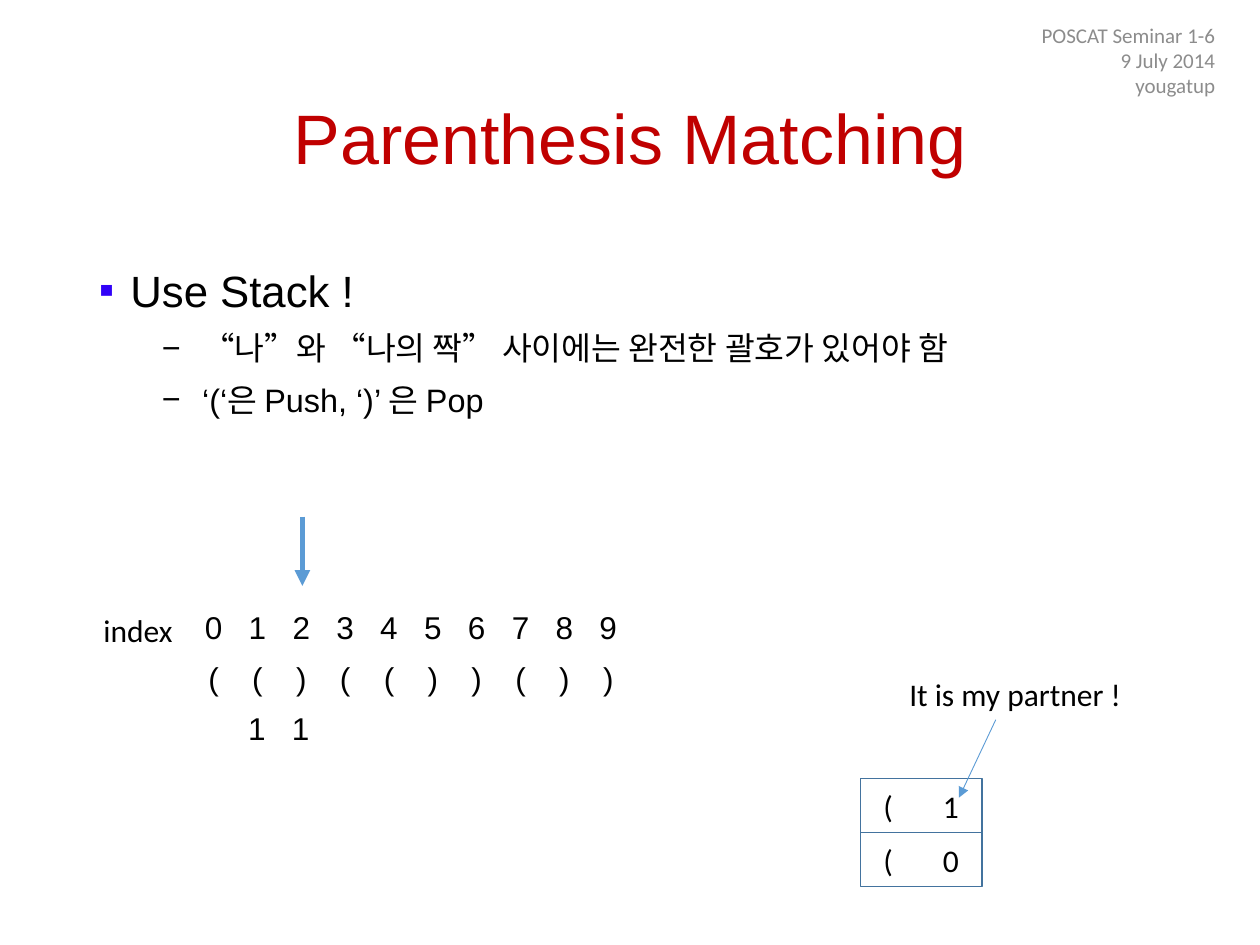
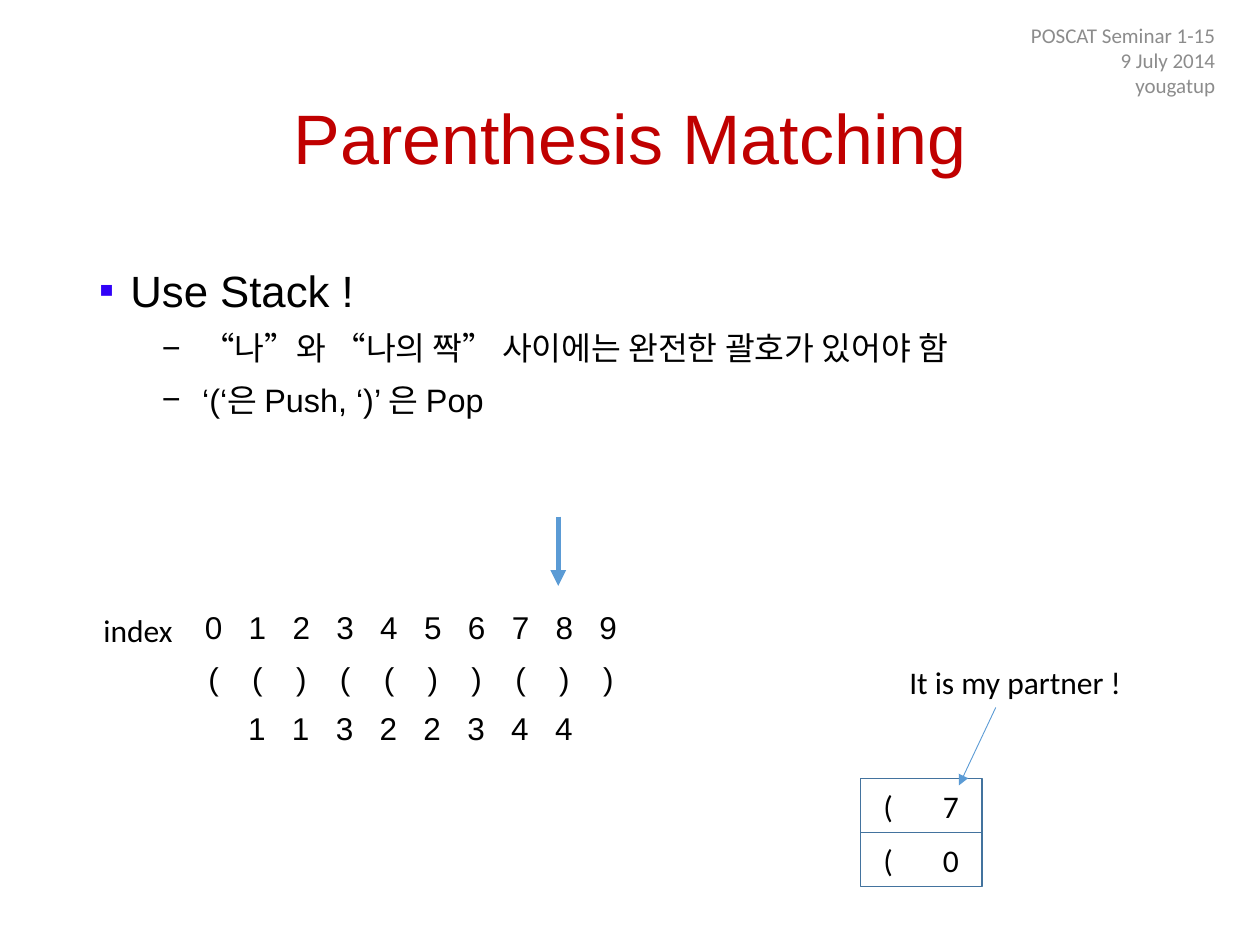
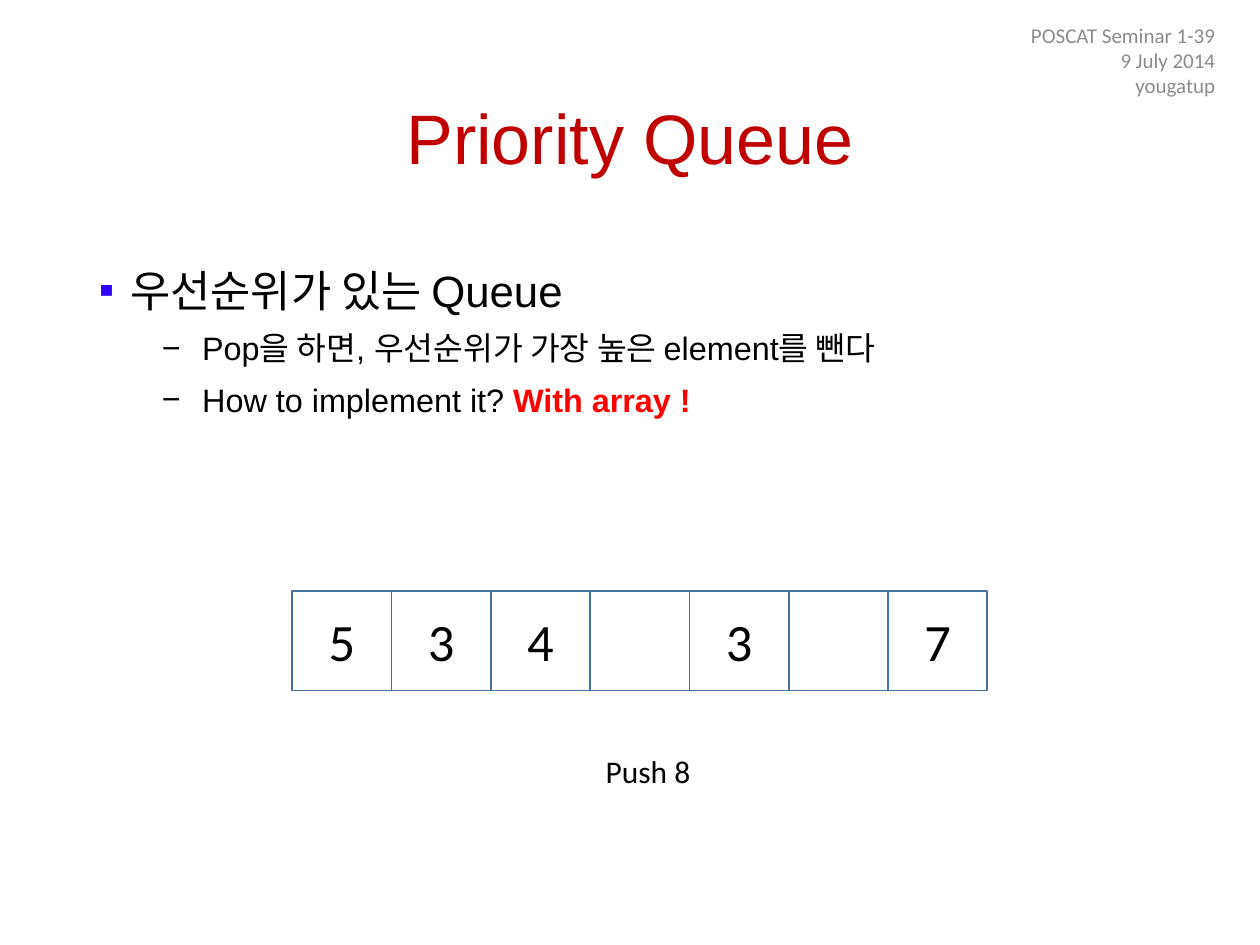
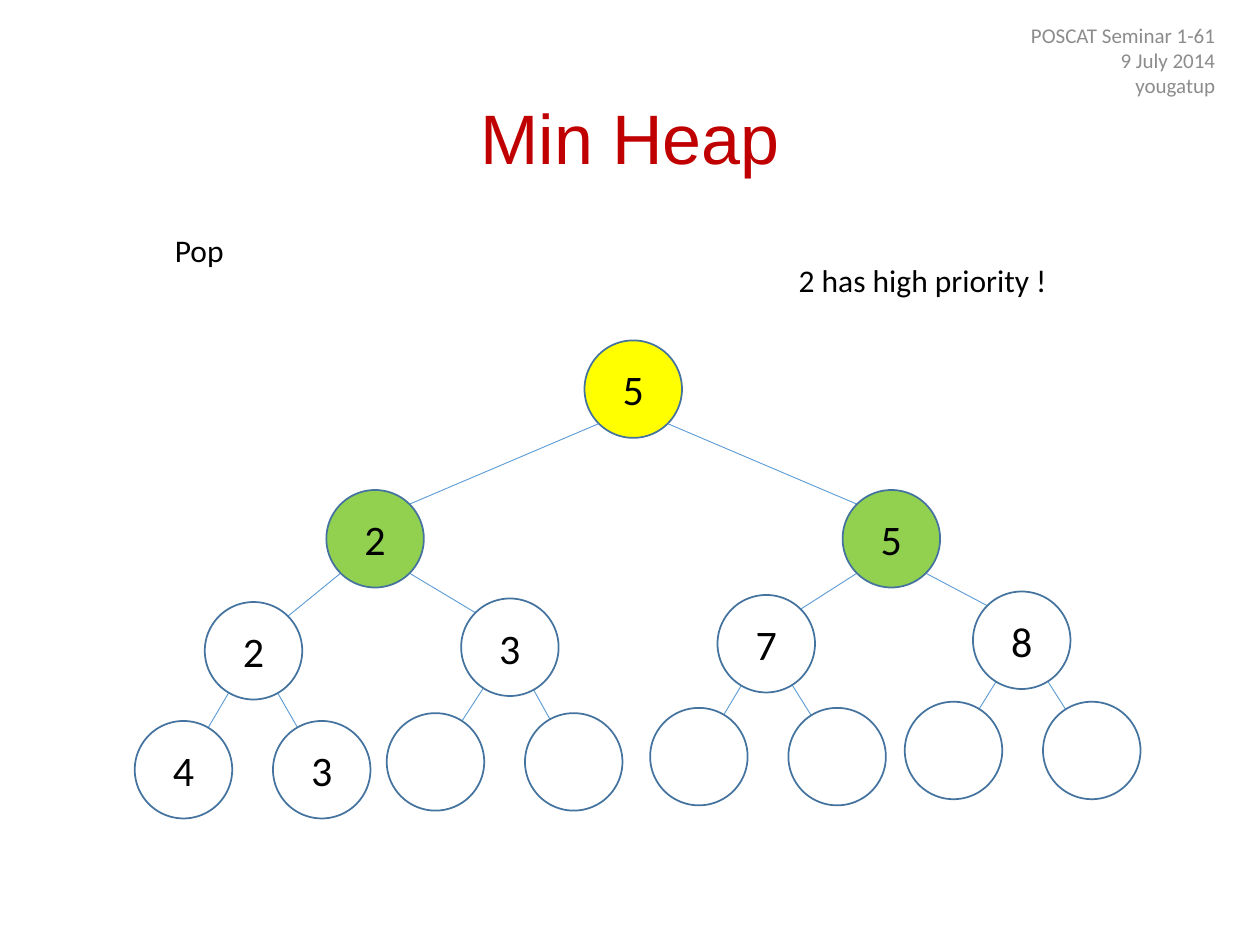
from lxml import etree
from pptx import Presentation
from pptx.dml.color import RGBColor
from pptx.enum import shapes, text
from pptx.oxml import ns
from pptx.util import Pt

# Shared look
RED = RGBColor(0xC0, 0x00, 0x00)
BRIGHT_RED = RGBColor(0xFF, 0x00, 0x00)
BLACK = RGBColor(0x00, 0x00, 0x00)
WHITE = RGBColor(0xFF, 0xFF, 0xFF)
GREY = RGBColor(0x8C, 0x8C, 0x8C)
BLUE = RGBColor(0x5B, 0x9B, 0xD5)
OUTLINE = RGBColor(0x43, 0x73, 0x9E)
GREEN = RGBColor(0x92, 0xD0, 0x50)
YELLOW = RGBColor(0xFF, 0xFF, 0x00)
BULLET = RGBColor(0x31, 0x02, 0xF8)
HEAD_FONT, TEXT_FONT = "Arial", "Calibri"
LEFT, CENTER, RIGHT = (text.PP_ALIGN.LEFT, text.PP_ALIGN.CENTER,
                       text.PP_ALIGN.RIGHT)

# Bullet levels: symbol, bullet colour, size, left margin, hanging, space before
LEVELS = [("▪", BULLET, 25, 18, 18, 10), ("−", BLACK, 18.5, 59, 23, 5)]

# Content: a bullet is (level, plain text, highlighted text)
STACK_BULLETS = [
    (0, "Use Stack !", ""),
    (1, "“나”와 “나의 짝” 사이에는 완전한 괄호가 있어야 함", ""),
    (1, "‘(‘은 Push, ‘)’ 은 Pop", ""),
]
QUEUE_BULLETS = [
    (0, "우선순위가 있는 Queue", ""),
    (1, "Pop을 하면, 우선순위가 가장 높은 element를 뺀다", ""),
    (1, "How to implement it? ", "With array !"),
]
PARENTHESES = "(()(())())"
MATCHING_STEPS = [
    {"page": 6, "partners": " 11", "stack": "01", "pointer": 172.8, "note": 382.3},
    {"page": 15, "partners": " 11322344", "stack": "07", "pointer": 319,
     "note": 375.3},
]
QUEUE = ["5", "3", "4", "", "3", "", "7"]

# Heap in array order: label, left, top
HEAP = [
    ("5", 334, 194.5),
    ("2", 186.5, 280), ("5", 481.5, 280),
    ("2", 117, 344), ("3", 263.5, 342), ("7", 410, 340), ("8", 556, 338),
    ("4", 77, 412), ("3", 156, 412), ("", 221, 407.5), ("", 300, 407.5),
    ("", 371.5, 404.5), ("", 450.5, 404.5), ("", 517, 401), ("", 596, 401),
]
HEAP_FILLS = {0: YELLOW, 1: GREEN, 2: GREEN}
NODE = 55.7
FIRST_LEAF = 7


def add_run(p, words, size, color=BLACK, font=TEXT_FONT, bold=None):
    r = p.add_run()
    r.text = words
    f = r.font
    f.size, f.name, f.bold = Pt(size), font, bold
    f.color.rgb = color


def add_label(s, words, left, top, width):
    tf = s.shapes.add_textbox(Pt(left), Pt(top), Pt(width), Pt(29)).text_frame
    tf.word_wrap = False
    tf.auto_size = text.MSO_AUTO_SIZE.SHAPE_TO_FIT_TEXT
    add_run(tf.paragraphs[0], words, 18)


def add_box(s, kind, left, top, width, height, fill=None):
    sp = s.shapes.add_shape(kind, Pt(left), Pt(top), Pt(width), Pt(height))
    sp.shadow.inherit = False
    if fill is None:
        sp.fill.background()
    else:
        sp.fill.solid()
        sp.fill.fore_color.rgb = fill
    sp.line.color.rgb = OUTLINE
    sp.line.width = Pt(1)
    tf = sp.text_frame
    tf.vertical_anchor = text.MSO_ANCHOR.MIDDLE
    tf.paragraphs[0].alignment = CENTER
    return tf


def add_line(s, start, end, width=0.5, arrow=False):
    c = s.shapes.add_connector(shapes.MSO_CONNECTOR.STRAIGHT,
                               *[Pt(v) for v in (*start, *end)])
    c.line.color.rgb = BLUE
    c.line.width = Pt(width)
    if arrow:
        etree.SubElement(c.line._get_or_add_ln(), ns.qn("a:tailEnd"), type="triangle")
    etree.SubElement(c._element.spPr, ns.qn("a:effectLst"))


def add_slide(prs, title, page):
    s = prs.slides.add_slide(prs.slide_layouts[5])
    # Title
    sp = s.shapes.title
    sp.left, sp.top, sp.width, sp.height = Pt(49.5), Pt(29), Pt(621), Pt(104.4)
    tf = sp.text_frame
    tf.auto_size = text.MSO_AUTO_SIZE.NONE
    tf.vertical_anchor = text.MSO_ANCHOR.MIDDLE
    p = tf.paragraphs[0]
    p.alignment, p.line_spacing = CENTER, 0.9
    add_run(p, title, 40, RED, HEAD_FONT)
    # Seminar header
    tf = s.shapes.add_textbox(Pt(539.5), Pt(14.5), Pt(162), Pt(39.6)).text_frame
    tf.word_wrap = True
    tf.vertical_anchor = text.MSO_ANCHOR.MIDDLE
    for i, words in enumerate([f"POSCAT Seminar 1-{page}", "9 July 2014", "yougatup"]):
        p = tf.add_paragraph() if i else tf.paragraphs[0]
        p.alignment = RIGHT
        add_run(p, words, 12, GREY)
    return s


def add_bullets(s, bullets):
    tf = s.shapes.add_textbox(Pt(49.5), Pt(144), Pt(621), Pt(342.7)).text_frame
    tf.word_wrap = True
    for i, (level, words, highlight) in enumerate(bullets):
        symbol, color, size, margin, hanging, before = LEVELS[level]
        p = tf.add_paragraph() if i else tf.paragraphs[0]
        p.level, p.line_spacing = level, 1.1
        p.space_before = Pt(before if i else 0)
        pPr = p._p.get_or_add_pPr()
        pPr.set("marL", str(Pt(margin)))
        pPr.set("indent", str(-Pt(hanging)))
        clr = etree.SubElement(pPr, ns.qn("a:buClr"))
        etree.SubElement(clr, ns.qn("a:srgbClr"), val=str(color))
        etree.SubElement(pPr, ns.qn("a:buFont"), typeface=HEAD_FONT)
        etree.SubElement(pPr, ns.qn("a:buChar"), char=symbol)
        add_run(p, words, size, font=HEAD_FONT)
        if highlight:
            add_run(p, highlight, size, BRIGHT_RED, HEAD_FONT, True)


def add_index_table(s, partners):
    count = len(PARENTHESES)
    rows = ["".join(str(i) for i in range(count)), PARENTHESES, partners.ljust(count)]
    table = s.shapes.add_table(len(rows), count, Pt(109.5), Pt(345.6),
                               Pt(250.6), Pt(57.6)).table
    table.first_row = table.horz_banding = False
    for col in table.columns:
        col.width = Pt(25.06)
    for i, (row, height) in enumerate(zip(rows, (14.4, 14.4, 28.8))):
        table.rows[i].height = Pt(height)
        for j, mark in enumerate(row):
            cell = table.cell(i, j)
            cell.fill.solid()
            cell.fill.fore_color.rgb = WHITE
            p = cell.text_frame.paragraphs[0]
            p.alignment = LEFT if i == 2 else CENTER
            if mark != " ":
                add_run(p, mark, 18, font=HEAD_FONT)


def add_stack(s, indexes):
    height = 30.9
    for i, index in enumerate(indexes):
        tf = add_box(s, shapes.MSO_SHAPE.RECTANGLE, 491.8, 475.8 - i * height,
                     69.4, height)
        tf.margin_left, tf.margin_right = Pt(13), Pt(0)
        p = tf.paragraphs[0]
        p.alignment = LEFT
        tabs = etree.SubElement(p._p.get_or_add_pPr(), ns.qn("a:tabLst"))
        etree.SubElement(tabs, ns.qn("a:tab"), pos=str(Pt(34)), algn="l")
        add_run(p, f"(\t{index}", 18)


def matching_slide(prs, step):
    s = add_slide(prs, "Parenthesis Matching", step["page"])
    add_bullets(s, STACK_BULLETS)
    add_index_table(s, step["partners"])
    add_label(s, "index", 52, 345.6, 54.5)
    add_stack(s, step["stack"])
    add_line(s, (step["pointer"], 295.2), (step["pointer"], 334.8), 3, True)
    note = step["note"]
    add_line(s, (569, note + 29), (548, note + 73.5), arrow=True)
    add_label(s, "It is my partner !", 512.5, note, 137)


def queue_slide(prs):
    s = add_slide(prs, "Priority Queue", 39)
    add_bullets(s, QUEUE_BULLETS)
    side = 56.75
    for i, value in enumerate(QUEUE):
        tf = add_box(s, shapes.MSO_SHAPE.RECTANGLE, 167 + i * side, 337.8,
                     side, side, WHITE)
        if value:
            add_run(tf.paragraphs[0], value, 30)
    add_label(s, "Push 8", 339, 426.2, 63.5)


def heap_slide(prs):
    s = add_slide(prs, "Min Heap", 61)
    add_label(s, "Pop", 92.8, 128.2, 42.5)
    # Edges: diagonal rim points above, hidden centres at the leaves
    rim = NODE / 2 * 0.71
    for child in range(1, len(HEAP)):
        parent = (child - 1) // 2
        (x1, y1), (x2, y2) = [(left + NODE / 2, top + NODE / 2)
                              for _, left, top in (HEAP[parent], HEAP[child])]
        if child < FIRST_LEAF:
            dx = -rim if child % 2 else rim
            x1, y1, x2, y2 = x1 + dx, y1 + rim, x2 - dx, y2 - rim
        add_line(s, (x1, y1), (x2, y2))
    # Nodes
    for i, (value, left, top) in enumerate(HEAP):
        tf = add_box(s, shapes.MSO_SHAPE.OVAL, left, top, NODE, NODE,
                     HEAP_FILLS.get(i, WHITE))
        if value:
            add_run(tf.paragraphs[0], value, 24)
    add_label(s, "2 has high priority !", 449.3, 145.5, 158.4)


def main():
    prs = Presentation()
    prs.slide_width, prs.slide_height = Pt(720), Pt(540)
    for step in MATCHING_STEPS:
        matching_slide(prs, step)
    queue_slide(prs)
    heap_slide(prs)
    prs.save("out.pptx")


if __name__ == "__main__":
    main()
